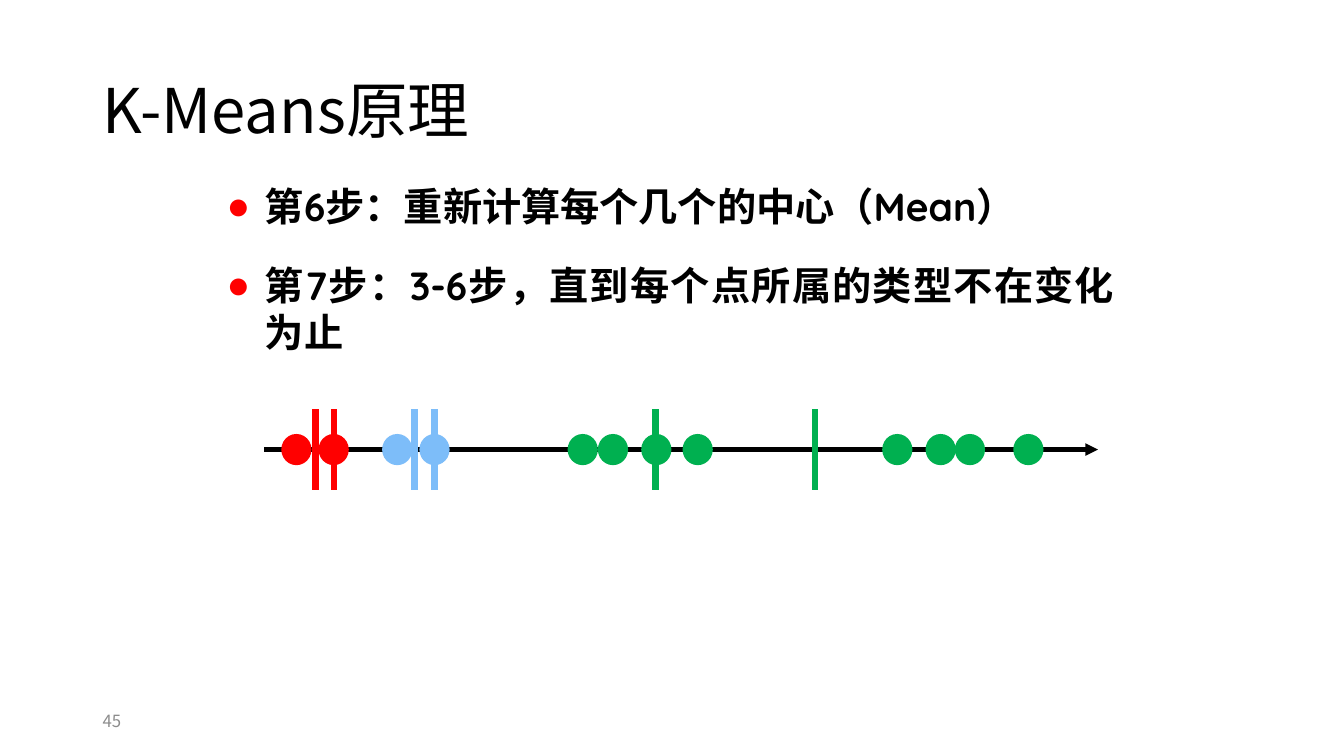
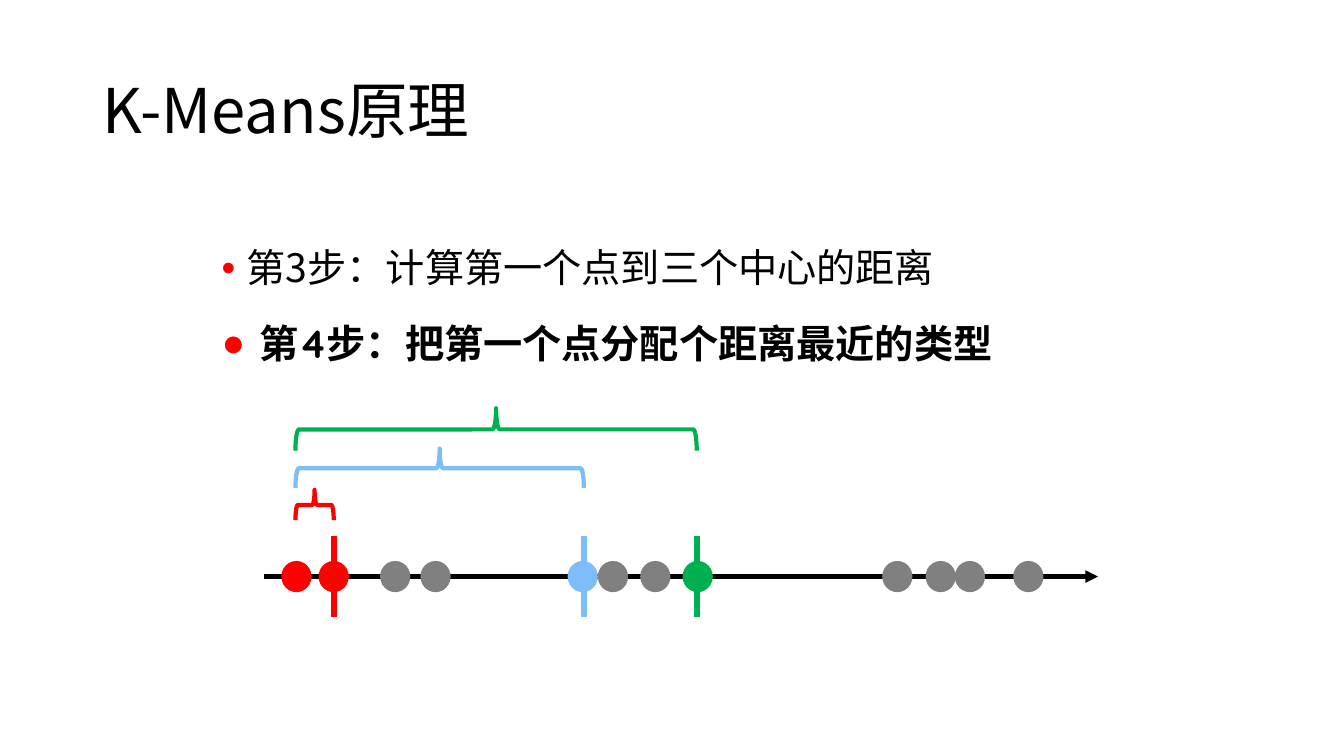
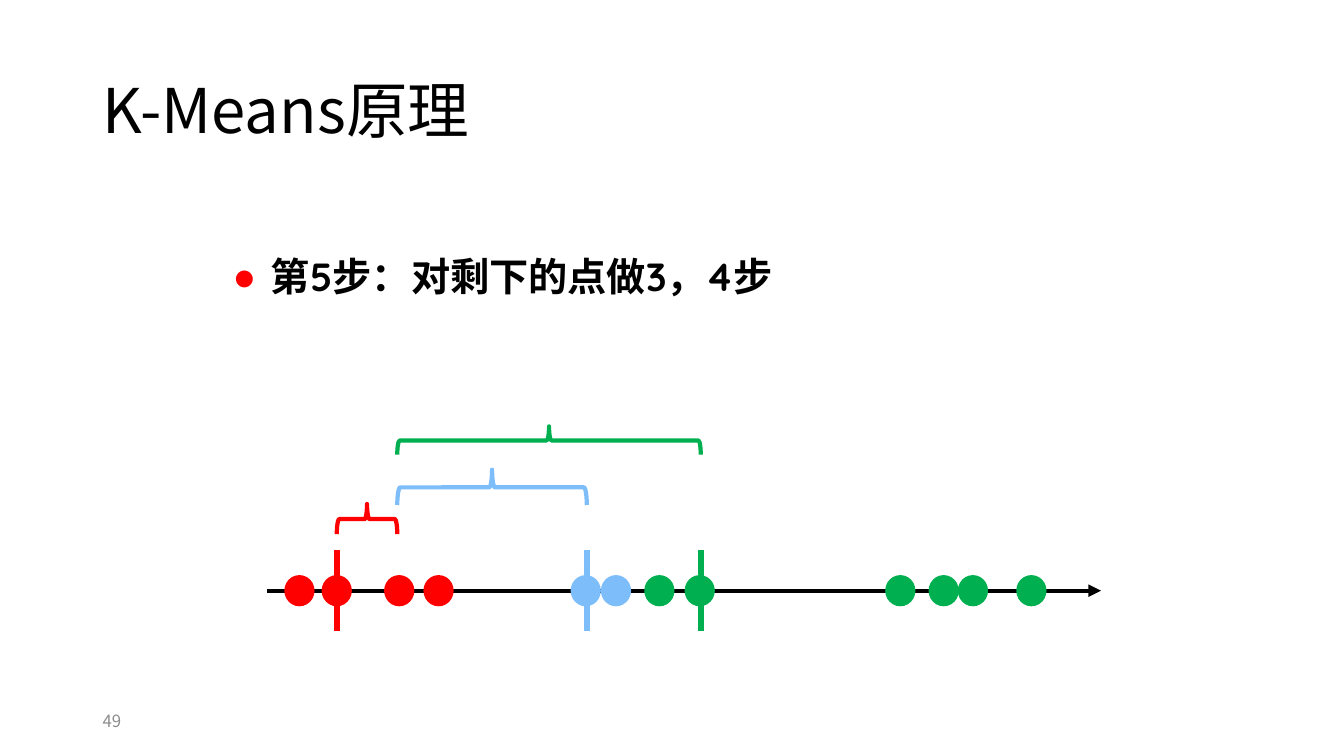
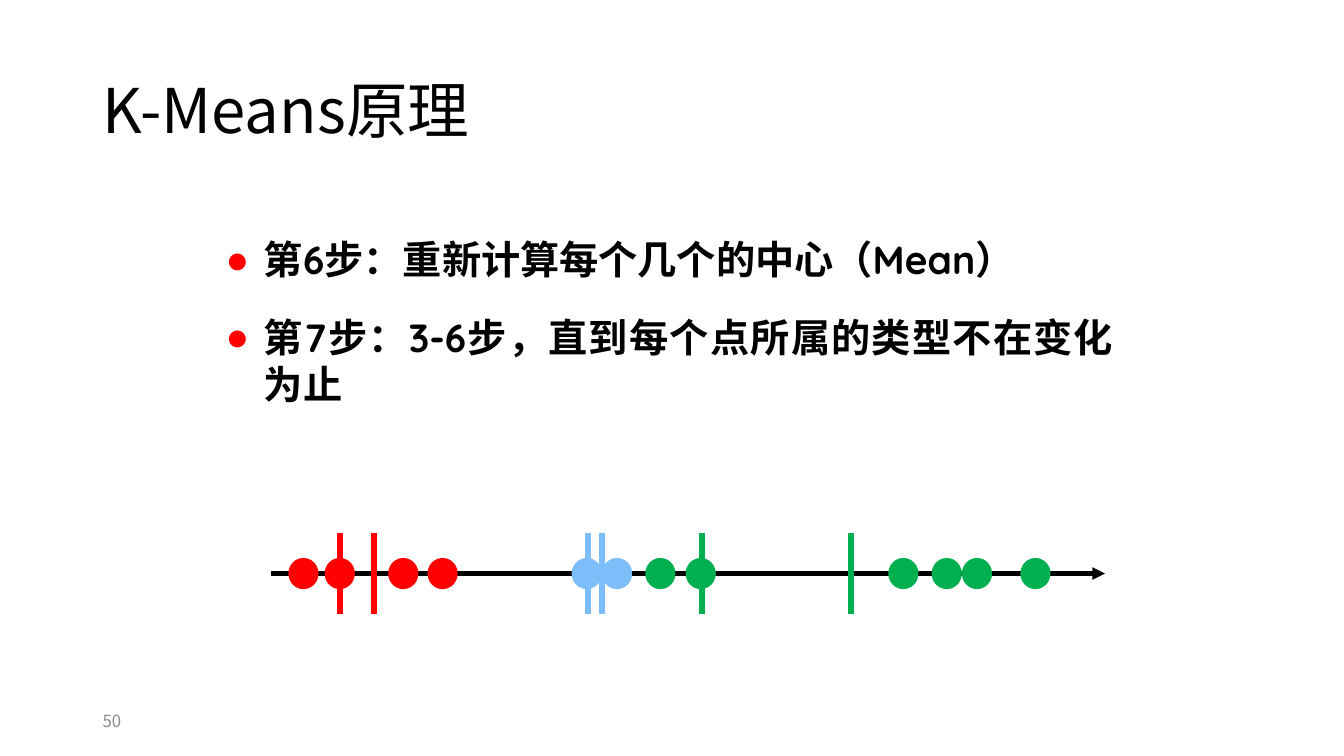
from lxml import etree
from pptx import Presentation
from pptx.dml.color import RGBColor
from pptx.enum.shapes import MSO_CONNECTOR, MSO_SHAPE
from pptx.enum.text import MSO_ANCHOR, PP_ALIGN
from pptx.oxml.ns import qn
from pptx.util import Inches, Pt

STRAIGHT = MSO_CONNECTOR.STRAIGHT
OVAL = MSO_SHAPE.OVAL
LEFT_BRACE = MSO_SHAPE.LEFT_BRACE
TOP = MSO_ANCHOR.TOP
MIDDLE = MSO_ANCHOR.MIDDLE
JUSTIFY = PP_ALIGN.JUSTIFY

BLACK = RGBColor(0x00, 0x00, 0x00)
RED = RGBColor(0xFF, 0x00, 0x00)
BLUE = RGBColor(0x7D, 0xBD, 0xF9)
GREEN = RGBColor(0x00, 0xB0, 0x50)
GREY = RGBColor(0x80, 0x80, 0x80)
NUMBER_GREY = RGBColor(0x8C, 0x8C, 0x8C)

SANS = "Noto Sans CJK SC"
ROUNDED = "Quicksand"
TITLE = "K-Means原理"
STEP_6 = "第6步：重新计算每个几个的中心（Mean）"
STEP_7 = "第7步：3-6步，直到每个点所属的类型不在变化为止"

AXIS_LENGTH = 8.27
CENTRE_REACH = 0.4
POINT_WIDTH, POINT_HEIGHT = 0.3, 0.31

# steps: text, top, bold; axis: left, height on the slide
# centres: colour, x; braces: colour, left, right, top, height
# points: left edges by cluster colour
SLIDES = [
    {
        "number": "45",
        "steps_left": 2.15,
        "steps": [(STEP_6, 1.81, True), (STEP_7, 2.54, True)],
        "axis": (2.62, 4.46),
        "centres": [(RED, 3.31), (BLUE, 4.31), (GREEN, 6.5),
                    (RED, 3.13), (BLUE, 4.11), (GREEN, 8.08)],
        "braces": [],
        "points": {
            RED: [2.79, 3.16],
            BLUE: [3.79, 4.16],
            GREEN: [5.63, 5.93, 6.36, 6.77, 8.75, 9.18, 9.47, 10.05],
        },
    },
    {
        "number": None,
        "steps_left": 2.1,
        "steps": [("第3步：计算第一个点到三个中心的距离", 2.42, False),
                  ("第4步：把第一个点分配个距离最近的类型", 3.12, True)],
        "axis": (2.62, 5.72),
        "centres": [(RED, 3.31), (BLUE, 5.79), (GREEN, 6.91)],
        "braces": [(RED, 2.93, 3.31, 4.86, 0.3),
                   (BLUE, 2.93, 5.79, 4.45, 0.39),
                   (GREEN, 2.93, 6.91, 4.05, 0.42)],
        "points": {
            GREY: [3.77, 4.17, 5.93, 6.35, 8.75, 9.18, 9.47, 10.05],
            RED: [2.79, 3.16],
            BLUE: [5.63],
            GREEN: [6.77],
        },
    },
    {
        "number": "49",
        "steps_left": 2.21,
        "steps": [("第5步：对剩下的点做3，4步", 2.51, True)],
        "axis": (2.65, 5.86),
        "centres": [(RED, 3.34), (BLUE, 5.82), (GREEN, 6.95)],
        "braces": [(RED, 3.34, 3.94, 5.0, 0.3),
                   (BLUE, 3.94, 5.82, 4.66, 0.35),
                   (GREEN, 3.94, 6.95, 4.23, 0.28)],
        "points": {
            RED: [2.82, 3.19, 3.81, 4.2],
            BLUE: [5.66, 5.96],
            GREEN: [6.39, 6.79, 8.78, 9.21, 9.5, 10.08],
        },
    },
    {
        "number": "50",
        "steps_left": 2.14,
        "steps": [(STEP_6, 2.34, True), (STEP_7, 3.06, True)],
        "axis": (2.69, 5.69),
        "centres": [(RED, 3.71), (BLUE, 5.97), (GREEN, 8.44),
                    (RED, 3.37), (BLUE, 5.83), (GREEN, 6.96)],
        "braces": [],
        "points": {
            RED: [2.86, 3.22, 3.85, 4.24],
            BLUE: [5.67, 5.97],
            GREEN: [6.4, 6.8, 8.81, 9.24, 9.54, 10.12],
        },
    },
]


def add_text(slide, text, box, size, color, font=SANS, anchor=MIDDLE,
             bullet=None, indent=0):
    """Add a one-paragraph text box, with a red bullet if one is given."""
    frame = slide.shapes.add_textbox(*map(Inches, box)).text_frame
    frame.word_wrap = True
    frame.vertical_anchor = anchor
    paragraph = frame.paragraphs[0]
    paragraph.text = text
    properties = paragraph._p.get_or_add_pPr()
    if bullet:
        properties.set("marL", str(Inches(indent)))
        properties.set("indent", str(-Inches(indent)))
        bullet_color = etree.SubElement(properties, qn("a:buClr"))
        etree.SubElement(bullet_color, qn("a:srgbClr"), val=str(RED))
        etree.SubElement(properties, qn("a:buFont"), typeface="Arial")
        etree.SubElement(properties, qn("a:buChar"), char=bullet)
    paragraph.font.name = font
    paragraph.font.size = Pt(size)
    paragraph.font.color.rgb = color
    etree.SubElement(properties.find(qn("a:defRPr")), qn("a:ea"), typeface=SANS)
    return paragraph


def add_line(slide, start, end, color, width):
    line = slide.shapes.add_connector(STRAIGHT, *map(Inches, start + end))
    line.line.color.rgb = color
    line.line.width = Pt(width)
    etree.SubElement(line._element.spPr, qn("a:effectLst"))
    return line


prs = Presentation()
prs.slide_width = Inches(13.33)
prs.slide_height = Inches(7.5)

for content in SLIDES:
    slide = prs.slides.add_slide(prs.slide_layouts[6])

    title = add_text(slide, TITLE, (0.92, 0.4, 11.5, 1.45), 44, BLACK)
    title.line_spacing = 0.9
    if content["number"]:
        add_text(slide, content["number"], (0.92, 6.95, 3, 0.4), 12, NUMBER_GREY)

    for order, (text, top, bold) in enumerate(content["steps"]):
        step = add_text(slide, text, (content["steps_left"], top, 9, 0.6), 28, BLACK,
                        font=ROUNDED if bold else SANS, anchor=TOP,
                        bullet="●" if bold else "•", indent=0.38 if bold else 0.25)
        step.font.bold = bold
        if bold:
            step.alignment = JUSTIFY
        if order == 0:
            step.line_spacing = 0.9

    axis_left, axis_y = content["axis"]
    axis = add_line(slide, (axis_left, axis_y), (axis_left + AXIS_LENGTH, axis_y), BLACK, 3)
    etree.SubElement(axis.line._get_or_add_ln(), qn("a:tailEnd"), type="triangle")

    for color, x in content["centres"]:
        add_line(slide, (x, axis_y - CENTRE_REACH), (x, axis_y + CENTRE_REACH), color, 4.5)

    # A left brace turned by 90 degrees keeps its middle, so its sides swap.
    for color, left, right, top, height in content["braces"]:
        span = right - left
        brace = slide.shapes.add_shape(
            LEFT_BRACE, Inches((left + right - height) / 2),
            Inches(top + (height - span) / 2), Inches(height), Inches(span))
        brace.rotation = 90
        brace.shadow.inherit = False
        brace.fill.background()
        brace.line.color.rgb = color
        brace.line.width = Pt(3)

    for color, lefts in content["points"].items():
        for left in lefts:
            point = slide.shapes.add_shape(
                OVAL, Inches(left), Inches(axis_y - POINT_HEIGHT / 2),
                Inches(POINT_WIDTH), Inches(POINT_HEIGHT))
            point.shadow.inherit = False
            point.fill.solid()
            point.fill.fore_color.rgb = color
            point.line.fill.background()

prs.save("out.pptx")
